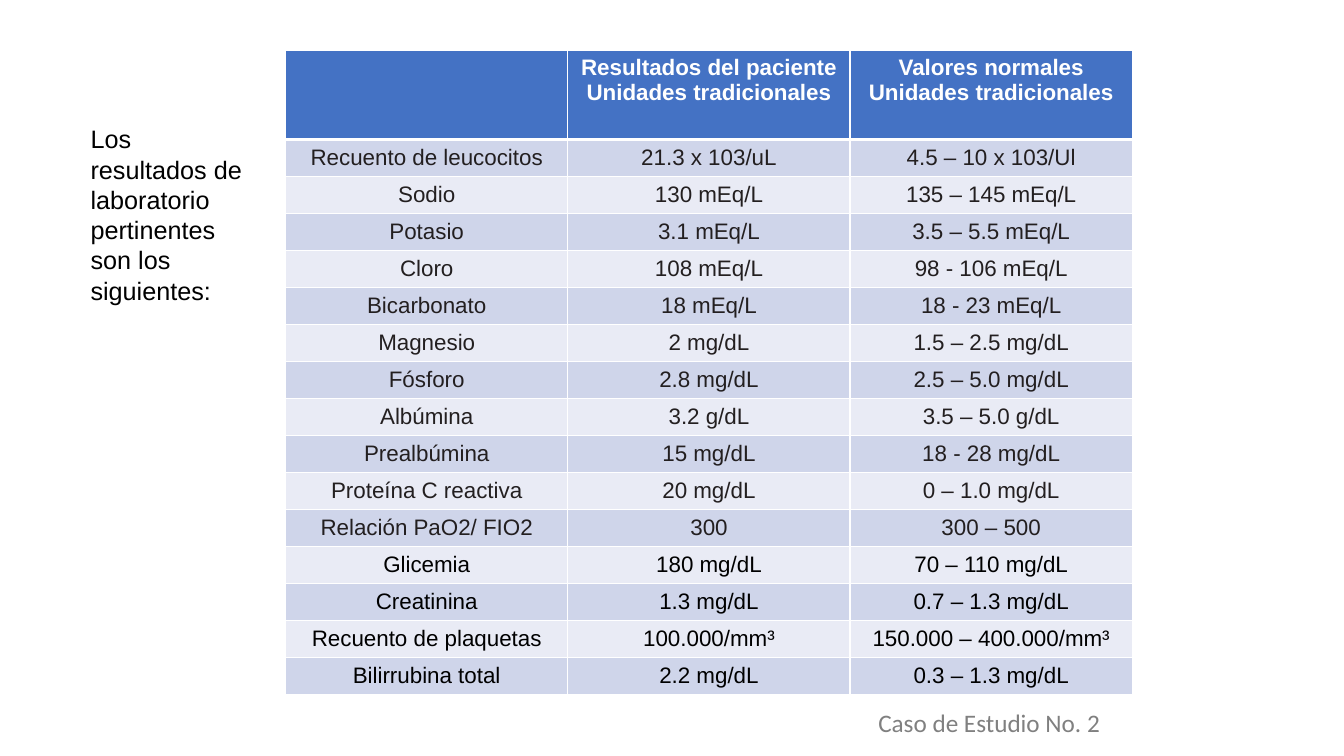
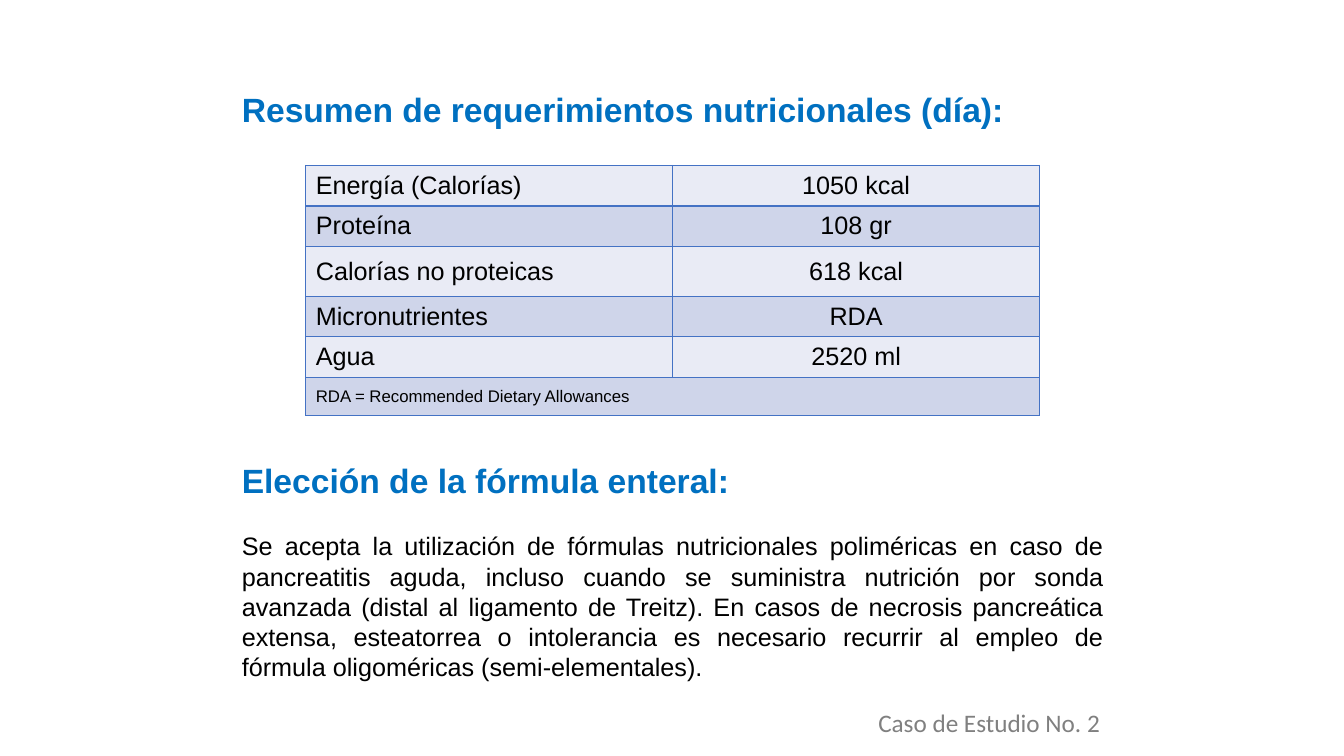
from lxml.etree import SubElement
from pptx import Presentation
from pptx.dml.color import RGBColor
from pptx.enum.shapes import MSO_SHAPE
from pptx.enum.text import MSO_ANCHOR, PP_ALIGN
from pptx.oxml.ns import qn
from pptx.util import Inches, Pt

COLORS = {
    "white": "FFFFFF", "black": "000000", "ink": "231F20", "gray": "808080",
    "header": "4472C4", "title": "0070C0", "dark_band": "CFD5EA", "light_band": "E9EBF5",
}
WIDTH, HEIGHT = 13.33, 7.5
BODY_SIZE, TITLE_SIZE, LAB_SIZE, NOTE_SIZE = 18, 24, 16, 12
BODY_LINE = 21.5  # height of a line of body text, in points

LAB_HEADER = ["", "Resultados del paciente\nUnidades tradicionales",
              "Valores normales\nUnidades tradicionales"]
LAB_ROWS = [
    ("Recuento de leucocitos", "21.3 x 103/uL", "4.5 – 10 x 103/Ul"),
    ("Sodio", "130 mEq/L", "135 – 145 mEq/L"),
    ("Potasio", "3.1 mEq/L", "3.5 – 5.5 mEq/L"),
    ("Cloro", "108 mEq/L", "98 - 106 mEq/L"),
    ("Bicarbonato", "18 mEq/L", "18 - 23 mEq/L"),
    ("Magnesio", "2 mg/dL", "1.5 – 2.5 mg/dL"),
    ("Fósforo", "2.8 mg/dL", "2.5 – 5.0 mg/dL"),
    ("Albúmina", "3.2 g/dL", "3.5 – 5.0 g/dL"),
    ("Prealbúmina", "15 mg/dL", "18 - 28 mg/dL"),
    ("Proteína C reactiva", "20 mg/dL", "0 – 1.0 mg/dL"),
    ("Relación PaO2/ FIO2", "300", "300 – 500"),
    ("Glicemia", "180 mg/dL", "70 – 110 mg/dL"),
    ("Creatinina", "1.3 mg/dL", "0.7 – 1.3 mg/dL"),
    ("Recuento de plaquetas", "100.000/mm³", "150.000 – 400.000/mm³"),
    ("Bilirrubina total", "2.2 mg/dL", "0.3 – 1.3 mg/dL"),
]
FIRST_BLACK_ROW = 12  # from Glicemia on, the text is black

NEEDS = [("Energía (Calorías)", "1050 kcal"), ("Proteína", "108 gr"),
         ("Calorías no proteicas", "618 kcal"), ("Micronutrientes", "RDA"),
         ("Agua", "2520 ml")]
NEEDS_NOTE = "RDA = Recommended Dietary Allowances"
FORMULA_TEXT = (
    "Se acepta la utilización de fórmulas nutricionales poliméricas en caso de "
    "pancreatitis aguda, incluso cuando se suministra nutrición por sonda avanzada "
    "(distal al ligamento de Treitz). En casos de necrosis pancreática extensa, "
    "esteatorrea o intolerancia es necesario recurrir al empleo de fórmula "
    "oligoméricas (semi-elementales).")


def color(name):
    return RGBColor.from_string(COLORS[name])


def frame(left, top, width, height):
    """Turn shares of the slide's size into lengths."""
    return (Inches(left * WIDTH), Inches(top * HEIGHT),
            Inches(width * WIDTH), Inches(height * HEIGHT))


def add_span(para, text, size, tint, bold=False, font="Arial"):
    span = para.add_run()
    span.text = text
    span.font.name, span.font.size, span.font.bold = font, Pt(size), bold
    span.font.color.rgb = color(tint)


def add_text(page, area, text, tint, align=PP_ALIGN.LEFT, font="Arial"):
    box = page.shapes.add_textbox(*frame(*area))
    box.text_frame.word_wrap = True
    para = box.text_frame.paragraphs[0]
    para.alignment = align
    add_span(para, text, BODY_SIZE, tint, font=font)


# Tables
def set_borders(cell, tint, bottom=1):
    properties = cell._tc.get_or_add_tcPr()
    for index, side in enumerate(("lnL", "lnR", "lnT", "lnB")):
        line = SubElement(properties, qn(f"a:{side}"))
        line.set("w", str(Pt(bottom if side == "lnB" else 1)))
        fill = SubElement(line, qn("a:solidFill"))
        SubElement(fill, qn("a:srgbClr")).set("val", COLORS[tint])
        properties.insert(index, line)


def add_grid(page, area, columns, row_heights):
    left, top, width, height = frame(*area)
    grid = page.shapes.add_table(len(row_heights), columns, left, top, width, height).table
    grid.first_row = grid.horz_banding = False
    for row, share in zip(grid.rows, row_heights):
        row.height = int(height * share / sum(row_heights))
    return grid


def fill_cell(cell, text, fill, border, size, tint, align=PP_ALIGN.CENTER,
              bold=False, bottom=1, anchor=MSO_ANCHOR.MIDDLE):
    cell.fill.solid()
    cell.fill.fore_color.rgb = color(fill)
    cell.vertical_anchor = anchor
    set_borders(cell, border, bottom)
    body = cell.text_frame
    for index, line in enumerate(text.split("\n") if text else []):
        para = body.add_paragraph() if index else body.paragraphs[0]
        para.alignment = align
        add_span(para, line, size, tint, bold)


# Slides
def add_page(deck):
    page = deck.slides.add_slide(deck.slide_layouts[6])
    add_text(page, (0.602, 0.929, 0.268, 0.085), "Caso de Estudio No. 2", "gray",
             PP_ALIGN.CENTER, "Calibri")
    return page


def add_lab_page(deck):
    page = add_page(deck)
    grid = add_grid(page, (0.2125, 0.0667, 0.63, 0.853), 3, [2.4] + [1] * len(LAB_ROWS))
    for column, text in enumerate(LAB_HEADER):
        fill_cell(grid.cell(0, column), text, "header", "white", LAB_SIZE, "white",
                  bold=True, bottom=3, anchor=MSO_ANCHOR.TOP)
    for row, values in enumerate(LAB_ROWS, 1):
        band = "dark_band" if row % 2 else "light_band"
        tint = "ink" if row < FIRST_BLACK_ROW else "black"
        for column, text in enumerate(values):
            fill_cell(grid.cell(row, column), text, band, "white", LAB_SIZE, tint)
    add_text(page, (0.06, 0.157, 0.135, 0.256),
             "Los resultados de laboratorio pertinentes son los siguientes:", "black")


def add_needs_page(deck):
    page = add_page(deck)

    # Headings and paragraph, with room for the table between them
    box = page.shapes.add_shape(MSO_SHAPE.RECTANGLE, *frame(0.1725, 0.111, 0.656, 0.808))
    box.shadow.inherit = False
    box.fill.solid()
    box.fill.fore_color.rgb = color("white")
    box.line.fill.background()
    body = box.text_frame
    body.word_wrap = True
    body.vertical_anchor = MSO_ANCHOR.TOP
    parts = [("Resumen de requerimientos nutricionales (día):", TITLE_SIZE, "title", 0),
             ("Elección de la fórmula enteral:", TITLE_SIZE, "title", 11),
             (FORMULA_TEXT, BODY_SIZE, "black", 1)]
    for index, (text, size, tint, lines_before) in enumerate(parts):
        para = body.add_paragraph() if index else body.paragraphs[0]
        para.alignment = PP_ALIGN.JUSTIFY
        para.space_before = Pt(lines_before * BODY_LINE)
        add_span(para, text, size, tint, bold=size == TITLE_SIZE)

    # Daily needs, closed by a note across both columns
    grid = add_grid(page, (0.2275, 0.219, 0.546, 0.329), 2, [4, 4, 5, 4, 4, 3.8])
    grid.cell(len(NEEDS), 0).merge(grid.cell(len(NEEDS), 1))
    for row, values in enumerate(NEEDS + [(NEEDS_NOTE, "")]):
        band = "dark_band" if row % 2 else "light_band"
        size = BODY_SIZE if row < len(NEEDS) else NOTE_SIZE
        for column, text in enumerate(values):
            align = PP_ALIGN.CENTER if column else PP_ALIGN.LEFT
            fill_cell(grid.cell(row, column), text, band, "header", size, "black", align)


def main():
    deck = Presentation()
    deck.slide_width, deck.slide_height = Inches(WIDTH), Inches(HEIGHT)
    add_lab_page(deck)
    add_needs_page(deck)
    deck.save("out.pptx")


if __name__ == "__main__":
    main()
